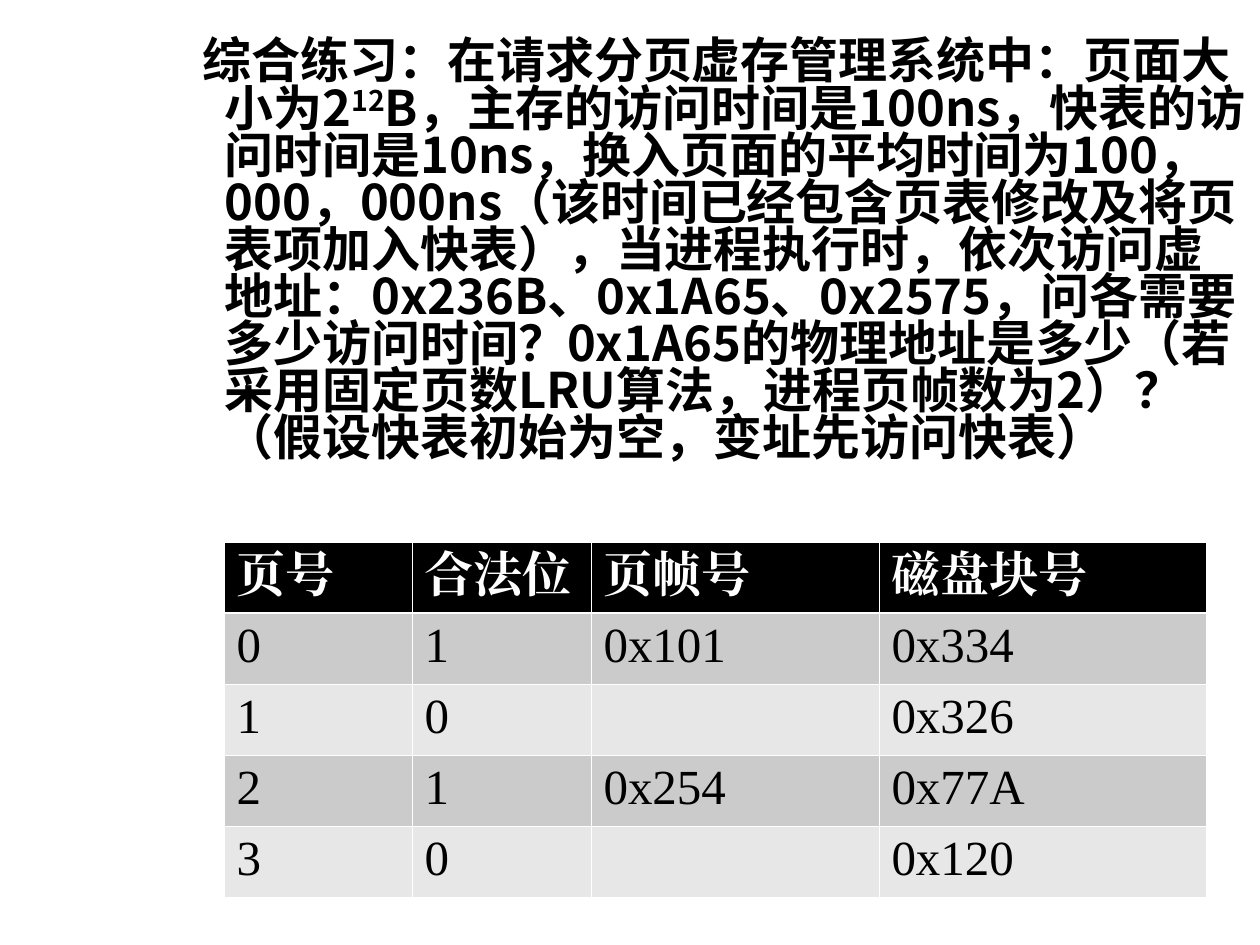
"""Build a slide with a demand-paging exercise and its page table."""
from dataclasses import dataclass

import pptx
import pptx.dml.color
import pptx.enum.text
import pptx.oxml.ns
import pptx.util
from lxml import etree

RGB = pptx.dml.color.RGBColor
BLACK = RGB(0x00, 0x00, 0x00)
WHITE = RGB(0xFF, 0xFF, 0xFF)
DARK = RGB(0xCB, 0xCB, 0xCB)
LIGHT = RGB(0xE7, 0xE7, 0xE7)
SANS = "Noto Sans CJK SC"
SERIF = "Times New Roman"
SCALE = 914400 / 126
THIN, THICK = 0.45, 1.47
qn = pptx.oxml.ns.qn

TASK = (
    ("综合练习：在请求分页虚存管理系统中：页面大小为2", 0),
    ("12", 30000),
    ("B，主存的访问时间是100ns，快表的访问时间是10ns，"
     "换入页面的平均时间为100，000，000ns（该时间已经包含页表修改及将页表项加入快表），"
     "当进程执行时，依次访问虚地址：0x236B、0x1A65、0x2575，问各需要多少访问时间？"
     "0x1A65的物理地址是多少（若采用固定页数LRU算法，进程页帧数为2）？"
     "（假设快表初始为空，变址先访问快表）", 0),
)
COLS = (188, 179, 288, 327)
HEIGHT = 71


@dataclass
class Row:
    cells: tuple[str, ...]
    fill: RGB
    ink: RGB = BLACK
    bold: bool = False
    top: float = THIN
    base: float = THIN


ROWS = (
    Row(("页号", "合法位", "页帧号", "磁盘块号"), BLACK, WHITE, True, base=THICK),
    Row(("0", "1", "0x101", "0x334"), DARK, top=THICK),
    Row(("1", "0", "", "0x326"), LIGHT),
    Row(("2", "1", "0x254", "0x77A"), DARK),
    Row(("3", "0", "", "0x120"), LIGHT),
)


def px(num: float) -> int:
    """Turn px into EMU."""
    return round(num * SCALE)


def write(para, text: str, *, font: str, ink: RGB, bold: bool = False,
          size: int = 28, raised: int = 0) -> None:
    """Add a formatted run to a paragraph."""
    run = para.add_run()
    run.text = text
    run.font.size = pptx.util.Pt(size)
    run.font.bold = bold
    run.font.color.rgb = ink
    run.font.name = font
    props = run.font._element
    etree.SubElement(props, qn("a:ea"), typeface=font)
    if raised:
        props.set("baseline", str(raised))


def edge(cell, side: str, width: float) -> None:
    """Draw one white border of a cell."""
    props = cell._tc.get_or_add_tcPr()
    line = etree.SubElement(props, qn(f"a:ln{side}"), w=str(round(width * 12700)))
    fill = etree.SubElement(line, qn("a:solidFill"))
    etree.SubElement(fill, qn("a:srgbClr"), val=str(WHITE))


def draw_task(slide) -> None:
    """Fill the body placeholder with the exercise."""
    body = slide.placeholders[1]
    body.left, body.top, body.width, body.height = map(px, (168, 35, 1092, 507))
    frame = body.text_frame
    frame.word_wrap = True
    frame.auto_size = pptx.enum.text.MSO_AUTO_SIZE.NONE
    para = frame.paragraphs[0]
    para.line_spacing = 0.8
    para.space_before = pptx.util.Pt(0)
    props = para._p.get_or_add_pPr()
    props.set("marL", str(px(44)))
    props.set("indent", str(px(-22)))
    etree.SubElement(props, qn("a:buNone"))
    for text, raised in TASK:
        write(para, text, font=SANS, ink=BLACK, bold=True, raised=raised)


def draw_table(slide) -> None:
    """Draw the page table."""
    grid = slide.shapes.add_table(
        len(ROWS), len(COLS), px(224), px(542),
        px(sum(COLS)), px(HEIGHT * len(ROWS))).table
    for col, width in zip(grid.columns, COLS):
        col.width = px(width)
    for line, row in zip(grid.rows, ROWS):
        line.height = px(HEIGHT)
        for cell, text in zip(line.cells, row.cells):
            for side, width in zip("LRTB", (THIN, THIN, row.top, row.base)):
                edge(cell, side, width)
            cell.fill.solid()
            cell.fill.fore_color.rgb = row.fill
            if text:
                write(cell.text_frame.paragraphs[0], text,
                      font=SERIF, ink=row.ink, bold=row.bold)


def main() -> None:
    """Build and save the slide."""
    deck = pptx.Presentation()
    deck.slide_width, deck.slide_height = px(1260), px(945)
    slide = deck.slides.add_slide(deck.slide_layouts[1])
    title = slide.shapes.title.element
    title.getparent().remove(title)
    draw_task(slide)
    draw_table(slide)
    deck.save("out.pptx")


if __name__ == "__main__":
    main()
